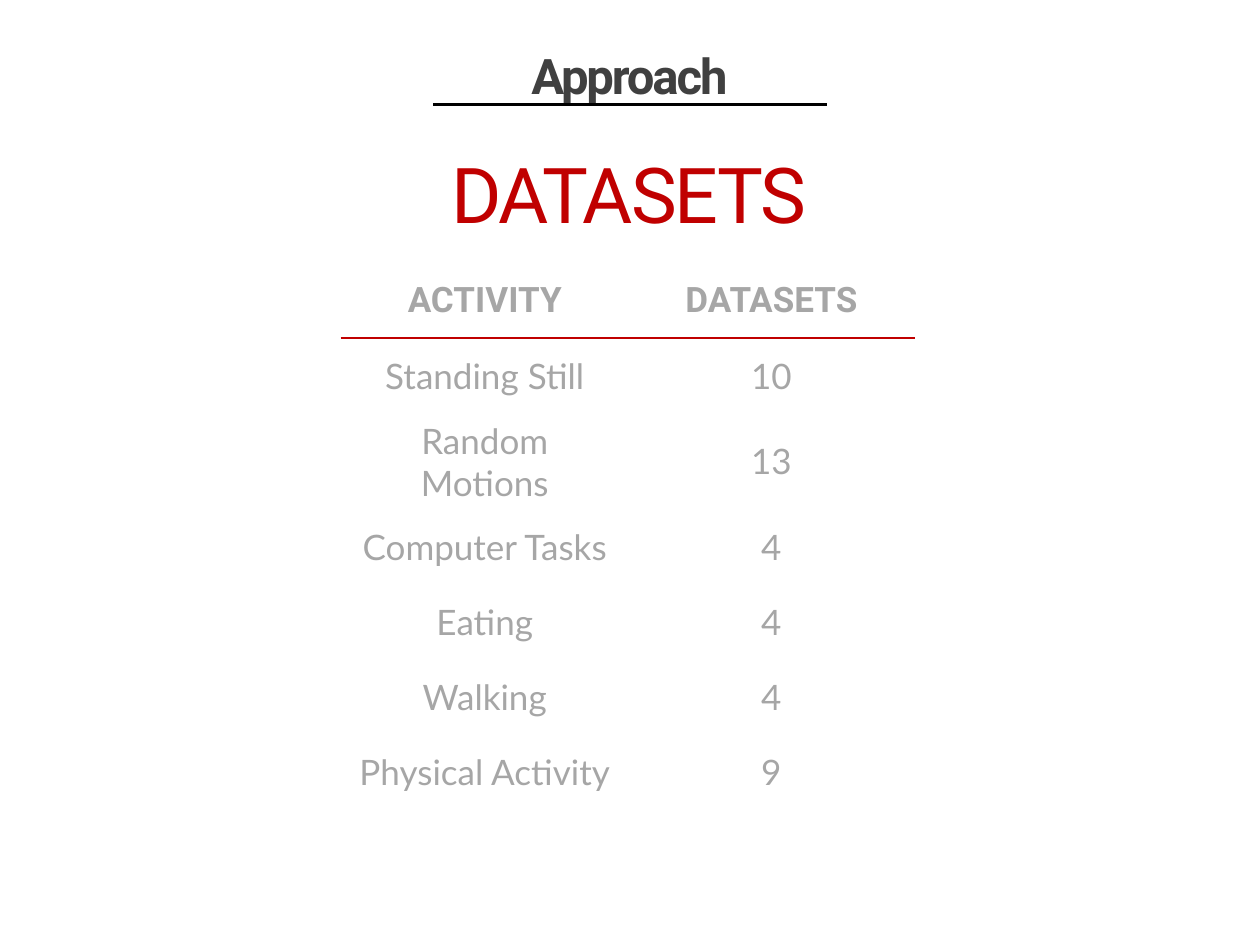
from lxml.etree import SubElement
from pptx import Presentation
from pptx.dml.color import RGBColor
from pptx.enum.shapes import MSO_CONNECTOR
from pptx.enum.text import MSO_ANCHOR, PP_ALIGN
from pptx.oxml.ns import qn
from pptx.util import Inches, Pt

WHITE = RGBColor(0xFF, 0xFF, 0xFF)
BLACK = RGBColor(0x00, 0x00, 0x00)
RED = RGBColor(0xC0, 0x00, 0x00)
DARK_GRAY = RGBColor(0x40, 0x40, 0x40)
LIGHT_GRAY = RGBColor(0xA6, 0xA6, 0xA6)

HEADING_FONT = "Roboto"
BODY_FONT = "Lato"

ACTIVITY_ROWS = [
    ("ACTIVITY", "DATASETS"),
    ("Standing Still", "10"),
    ("Random Motions", "13"),
    ("Computer Tasks", "4"),
    ("Eating", "4"),
    ("Walking", "4"),
    ("Physical Activity", "9"),
]


def write_text(text_frame, text, *, font, size, color, bold=False,
               line_spacing=None, tracking=None):
    """Fill the frame with one centred paragraph; tracking is in points."""
    paragraph = text_frame.paragraphs[0]
    paragraph.alignment = PP_ALIGN.CENTER
    if line_spacing:
        paragraph.line_spacing = line_spacing
    run = paragraph.add_run()
    run.text = text
    run.font.name = font
    run.font.size = Pt(size)
    run.font.bold = bold
    run.font.color.rgb = color
    if tracking:
        run.font._element.set("spc", str(round(tracking * 100)))


def add_title(slide, text, left, top, width, height,
              anchor=MSO_ANCHOR.TOP, **text_format):
    shape = slide.shapes.add_textbox(
        Inches(left), Inches(top), Inches(width), Inches(height))
    shape.text_frame.word_wrap = True
    shape.text_frame.vertical_anchor = anchor
    write_text(shape.text_frame, text, font=HEADING_FONT,
               line_spacing=1.5, tracking=-1.2, **text_format)


def add_rule(slide, left, right, y):
    connector = slide.shapes.add_connector(
        MSO_CONNECTOR.STRAIGHT, Inches(left), Inches(y), Inches(right), Inches(y))
    connector.line.color.rgb = BLACK
    connector.line.width = Pt(1.5)
    SubElement(connector._element.spPr, qn("a:effectLst"))


def set_borders(cell, top, bottom):
    """Draw 1 pt borders, with white sides."""
    properties = cell._tc.get_or_add_tcPr()
    for side, color in (("L", WHITE), ("R", WHITE), ("T", top), ("B", bottom)):
        line = SubElement(properties, qn(f"a:ln{side}"), w=str(Pt(1)))
        fill = SubElement(line, qn("a:solidFill"))
        SubElement(fill, qn("a:srgbClr"), val=str(color))


def add_activity_table(slide, left, top, width, height):
    table = slide.shapes.add_table(
        len(ACTIVITY_ROWS), len(ACTIVITY_ROWS[0]),
        Inches(left), Inches(top), Inches(width), Inches(height)).table
    for row, values in enumerate(ACTIVITY_ROWS):
        is_header = row == 0
        for column, value in enumerate(values):
            cell = table.cell(row, column)
            set_borders(cell, top=RED if row == 1 else WHITE,
                        bottom=RED if is_header else WHITE)
            cell.fill.solid()
            cell.fill.fore_color.rgb = WHITE
            cell.vertical_anchor = MSO_ANCHOR.MIDDLE
            write_text(cell.text_frame, value, size=20, color=LIGHT_GRAY,
                       font=HEADING_FONT if is_header else BODY_FONT,
                       bold=is_header)


def main():
    presentation = Presentation()
    presentation.slide_width = Inches(10)
    presentation.slide_height = Inches(7.5)
    slide = presentation.slides.add_slide(presentation.slide_layouts[6])

    add_title(slide, "DATASETS", -0.01, 0.75, 10, 1.1, size=44, color=RED)
    add_activity_table(slide, 2.71, 2.09, 4.55, 4.16)
    add_title(slide, "Approach", 3.44, 0.2, 3.11, 0.55,
              anchor=MSO_ANCHOR.MIDDLE, size=28, color=DARK_GRAY, bold=True)
    add_rule(slide, 3.44, 6.56, 0.83)

    presentation.save("out.pptx")


if __name__ == "__main__":
    main()
